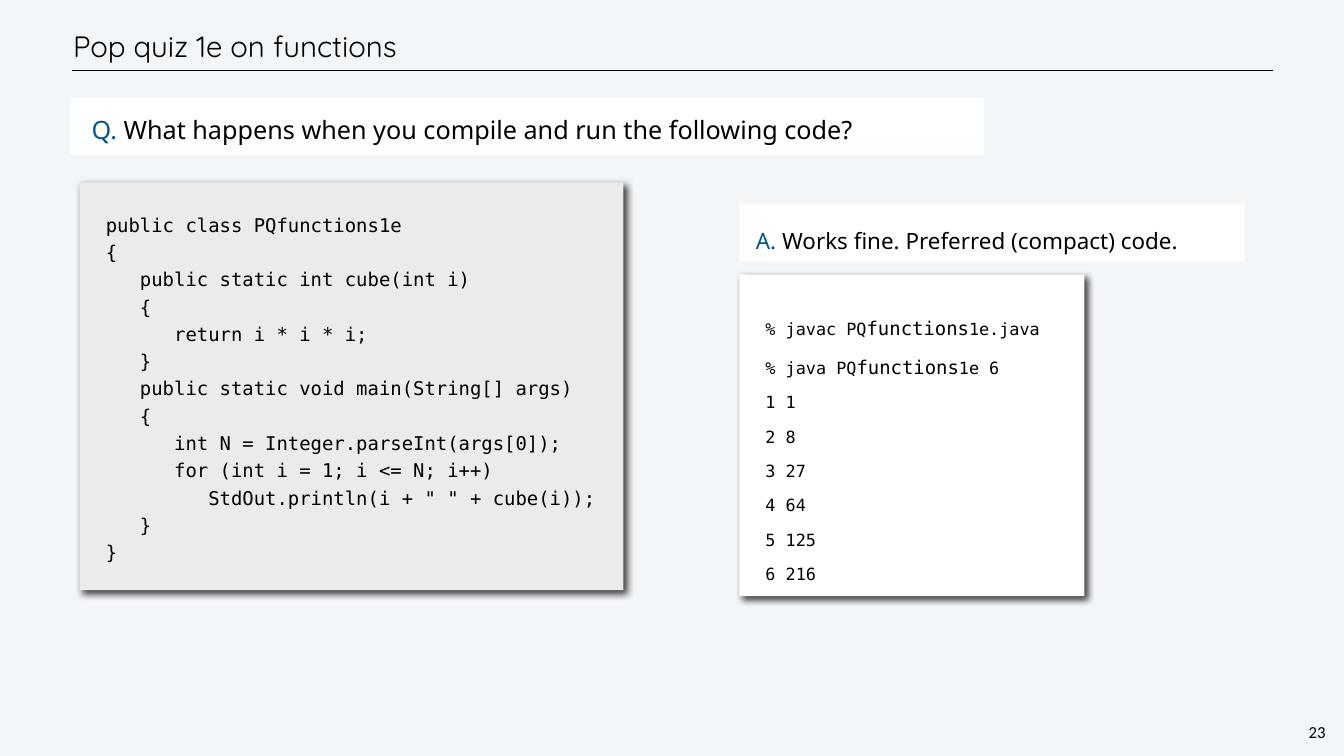
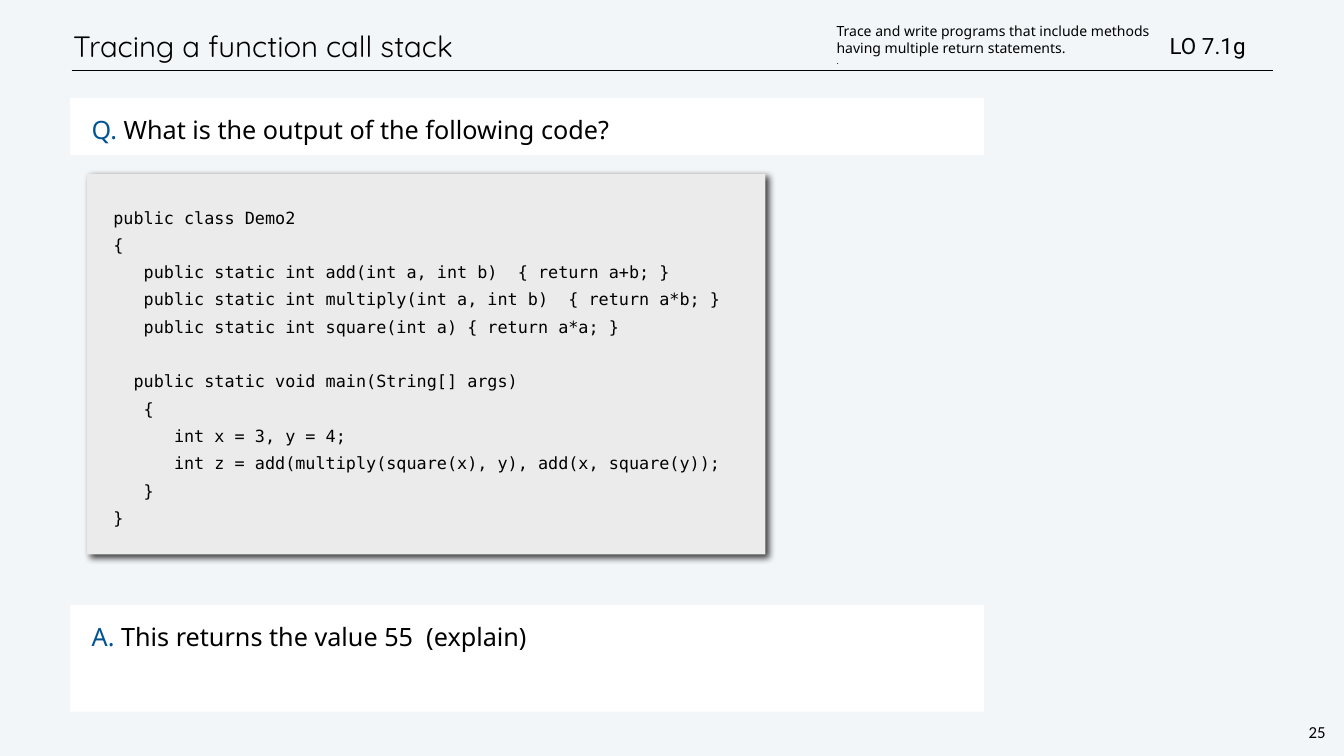
from lxml.etree import SubElement
from pptx import Presentation
from pptx.dml.color import RGBColor
from pptx.enum.shapes import MSO_CONNECTOR as CONN, MSO_SHAPE as SHAPE
from pptx.enum.text import MSO_ANCHOR as ANCHOR, PP_ALIGN as ALIGN
from pptx.oxml.ns import qn
from pptx.util import Inches, Pt

BG, INK, BLUE, WHITE, CODE_BG = "F3F6F9", "000000", "005493", "FFFFFF", "EBEBEB"
HEAD, BODY, MONO, NUM, TAG = "Quicksand", "Noto Sans", "DejaVu Sans Mono", "Calibri", "Roboto"


def rgb(value):
    return RGBColor.from_string(value)


def add_box(s, at, paras, font, fill=None, shadow=False, inset=0.06, spacing=None,
            indent=0, anchor=ANCHOR.TOP, align=ALIGN.LEFT, wrap=True):
    at = [Inches(v) for v in at]
    if fill:
        sp = s.shapes.add_shape(SHAPE.RECTANGLE, *at)
        sp.shadow.inherit = False
        sp.fill.solid()
        sp.fill.fore_color.rgb = rgb(fill)
        sp.line.fill.background()
    else:
        sp = s.shapes.add_textbox(*at)
    if shadow:
        effects = sp._element.spPr.find(qn("a:effectLst"))
        outer = SubElement(effects, qn("a:outerShdw"), blurRad=str(Pt(10)), dist=str(Pt(6)),
                           dir="2700000", algn="ctr", rotWithShape="0")
        color = SubElement(outer, qn("a:srgbClr"), val=INK)
        SubElement(color, qn("a:alpha"), val="75000")
    tf = sp.text_frame
    frame = {"word_wrap": wrap, "vertical_anchor": anchor}
    frame.update({f"margin_{side}": Inches(inset) for side in ("left", "top", "right", "bottom")})
    for name, value in frame.items():
        setattr(tf, name, value)
    gap = 0
    p = None
    for runs in paras:
        if not runs[0][0]:
            gap += spacing
            continue
        p = tf.add_paragraph() if p else tf.paragraphs[0]
        for name, value in {"alignment": align, "line_spacing": spacing, "space_before": Pt(0) + gap}.items():
            setattr(p, name, value)
        gap = 0
        if indent:
            p._p.get_or_add_pPr().set("indent", str(Inches(indent)))
        for text, size, color in runs:
            r = p.add_run()
            r.text = text
            for name, value in {"name": font, "size": Pt(size)}.items():
                setattr(r.font, name, value)
            r.font.color.rgb = rgb(color)


CUBE_CODE = """public class PQfunctions1e
{
   public static int cube(int i)
   {
      return i * i * i;
   }
   public static void main(String[] args)
   {
      int N = Integer.parseInt(args[0]);
      for (int i = 1; i <= N; i++)
         StdOut.println(i + " " + cube(i));
   }
}"""

DEMO_CODE = """public class Demo2
{
   public static int add(int a, int b)  { return a+b; }
   public static int multiply(int a, int b)  { return a*b; }
   public static int square(int a) { return a*a; }

  public static void main(String[] args)
   {
      int x = 3, y = 4;
      int z = add(multiply(square(x), y), add(x, square(y));
   }
}"""

PAGES = [
    ("Pop quiz 1e on functions", "What happens when you compile and run the following code?",
     "23", CUBE_CODE, 27, (1.58, 3.62, 10.79, 8.09)),
    ("Tracing a function call stack", "What is the output of the following code?",
     "25", DEMO_CODE, 24, (1.73, 3.45, 13.46, 7.55)),
]

prs = Presentation()
prs.slide_width, prs.slide_height = Inches(26.67), Inches(15)
slides = []
for title, question, number, code, size, code_at in PAGES:
    s = prs.slides.add_slide(prs.slide_layouts[6])
    slides.append(s)
    s.background.fill.solid()
    s.background.fill.fore_color.rgb = rgb(BG)

    rule = s.shapes.add_connector(CONN.STRAIGHT, Inches(1.42), Inches(1.4), Inches(25.27), Inches(1.4))
    rule.line.color.rgb = rgb(INK)
    rule.line.width = Pt(1)
    SubElement(rule._element.spPr, qn("a:effectLst"))

    add_box(s, (1.39, 0.42, 22.62, 0.99), [[(title, 42, INK)]], HEAD,
            spacing=Pt(50), anchor=ANCHOR.MIDDLE)
    add_box(s, (1.39, 1.94, 18.14, 1.14), [[("Q. ", 36, BLUE), (question, 36, INK)]], BODY,
            fill=WHITE, inset=0.33, spacing=Pt(43), indent=0.1)
    add_box(s, (25.92, 14.29, 0.43, 0.47), [[(number, 24, INK)]], NUM, inset=0.04,
            spacing=Pt(28), align=ALIGN.CENTER, wrap=False)
    add_box(s, code_at, [[(line, size, INK)] for line in code.split("\n")], MONO,
            fill=CODE_BG, shadow=True, inset=0.52, spacing=Pt(39))

quiz, trace = slides

add_box(quiz, (14.67, 4.04, 10.03, 1.14),
        [[("A. ", 32, BLUE), ("Works fine. Preferred (compact) code.", 32, INK)]], BODY,
        fill=WHITE, inset=0.33, spacing=Pt(48))
commands = [[(start, 24, INK), ("functions", 27, INK), (end, 24, INK)]
            for start, end in (("% javac PQ", "1e.java"), ("% java PQ", "1e 6"))]
cubes = [[(f"{i} {i ** 3}", 24, INK)] for i in range(1, 7)]
add_box(quiz, (14.67, 5.45, 6.85, 6.38), commands + cubes, MONO,
        fill=WHITE, shadow=True, inset=0.52, spacing=1.7)

add_box(trace, (1.39, 12, 18.14, 2.12),
        [[("A. ", 36, BLUE), ("This returns the value 55  (explain)", 36, INK)]], BODY,
        fill=WHITE, inset=0.33, spacing=Pt(43), indent=0.1)
add_box(trace, (23.15, 0.58, 2.99, 0.65), [[("LO 7.1g", 32, INK)]], TAG, anchor=ANCHOR.MIDDLE)
goal = "Trace and write programs that include methods having multiple return statements."
add_box(trace, (16.55, 0.4, 6.55, 0.98), [[(goal, 20, INK)], [(".", 12, INK)]], BODY, inset=0.05)

prs.save("out.pptx")
